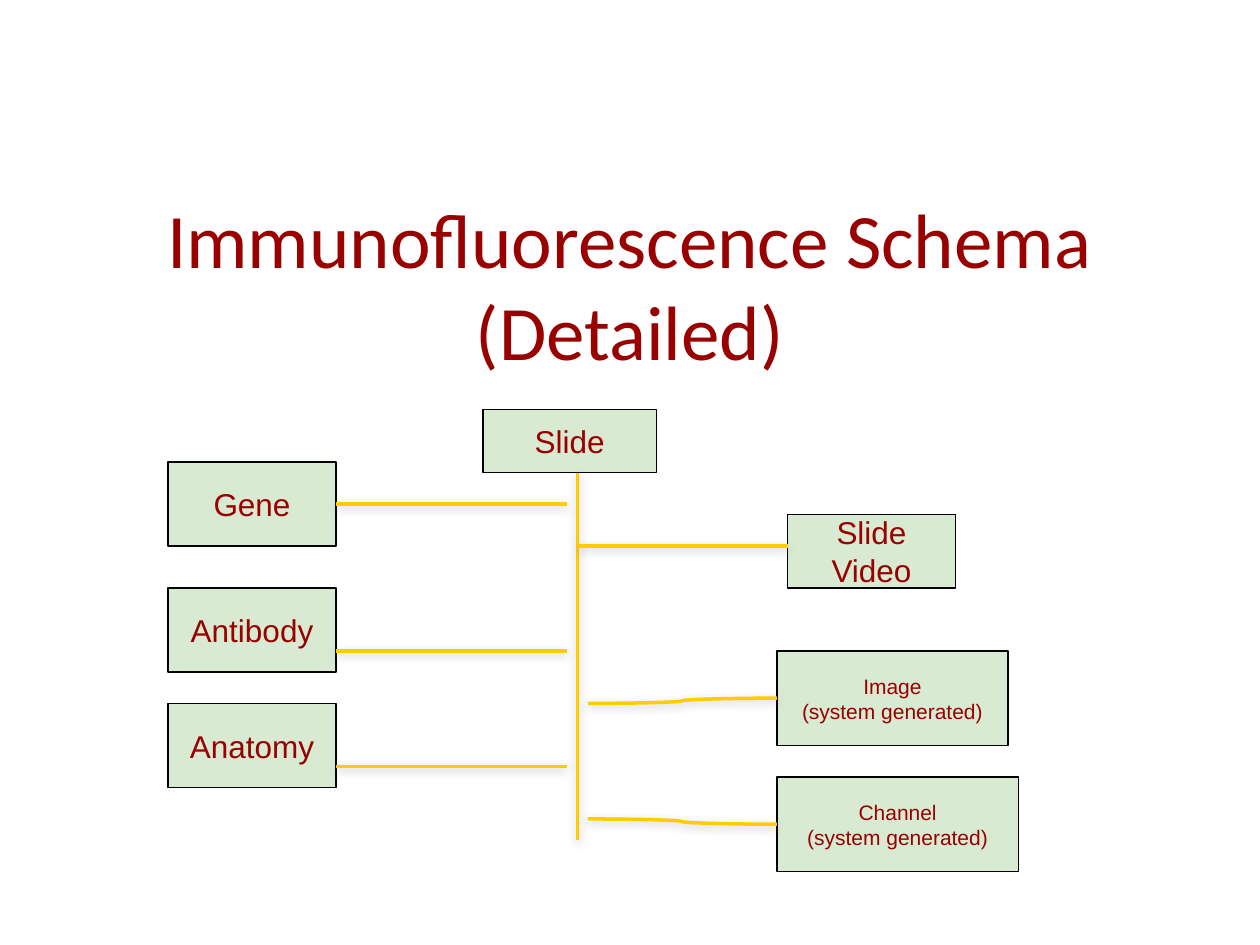
"""Builds the immunofluorescence schema slide."""
from dataclasses import dataclass

from lxml import etree
from pptx import Presentation
from pptx.dml import color
from pptx.enum import shapes, text
from pptx.oxml import ns
from pptx.util import Pt


@dataclass(frozen=True)
class Theme:
    """Colours, fonts and type sizes of the slide."""
    ink: str = "990000"
    box_fill: str = "D9EAD3"
    box_line: str = "000000"
    link: str = "FFCC00"
    shadow: str = "808080"
    title_font: str = "Calibri"
    body_font: str = "Arial"
    title_size: int = 44
    body_size: int = 18
    small_size: int = 12
    box_width: float = 0.75
    link_width: float = 2
    inset: float = 7.2


def apply_format(target, values):
    """Set every attribute named in a dict of format values."""
    for name, value in values.items():
        setattr(target, name, value)


class SchemaSlide:
    """Draws titles, boxes and links on one slide in one style."""

    def __init__(self, slide, theme):
        """Keep the slide and its theme."""
        self.slide = slide
        self.theme = theme

    def label(self, shape, lines, font, size, anchor):
        """Fill a shape with centred paragraphs."""
        frame = shape.text_frame
        sides = ("left", "right", "top", "bottom")
        margins = {f"margin_{side}": Pt(self.theme.inset) for side in sides}
        apply_format(frame, {"word_wrap": True, "vertical_anchor": anchor, **margins})
        frame.text = "\n".join(lines)
        for paragraph in frame.paragraphs:
            paragraph.alignment = text.PP_ALIGN.CENTER
            run_font = paragraph.runs[0].font
            apply_format(run_font, {"name": font, "size": Pt(size)})
            run_font.color.rgb = color.RGBColor.from_string(self.theme.ink)

    def outline(self, line, colour, width):
        """Give a line its colour and width."""
        line.color.rgb = color.RGBColor.from_string(colour)
        line.width = Pt(width)

    def title(self, line, bounds):
        """Add the slide title."""
        shape = self.slide.shapes.add_textbox(*map(Pt, bounds))
        self.label(shape, [line], self.theme.title_font, self.theme.title_size,
                   text.MSO_ANCHOR.TOP)

    def box(self, lines, bounds, size):
        """Add a labelled entity box."""
        shape = self.slide.shapes.add_shape(
            shapes.MSO_SHAPE.RECTANGLE, *map(Pt, bounds))
        shape.shadow.inherit = False
        shape.fill.solid()
        shape.fill.fore_color.rgb = color.RGBColor.from_string(self.theme.box_fill)
        self.outline(shape.line, self.theme.box_line, self.theme.box_width)
        self.label(shape, lines, self.theme.body_font, size, text.MSO_ANCHOR.MIDDLE)

    def link(self, start, end, kind=shapes.MSO_CONNECTOR.CURVE):
        """Add a connector with a soft shadow below it."""
        connector = self.slide.shapes.add_connector(kind, *map(Pt, (*start, *end)))
        self.outline(connector.line, self.theme.link, self.theme.link_width)
        properties = connector.element.spPr
        effects = etree.SubElement(properties, ns.qn("a:effectLst"))
        shadow = etree.SubElement(
            effects, ns.qn("a:outerShdw"), blurRad=str(Pt(5)), dist=str(Pt(1.6)),
            dir="5400000", rotWithShape="0")
        tint = etree.SubElement(shadow, ns.qn("a:srgbClr"), val=self.theme.shadow)
        etree.SubElement(tint, ns.qn("a:alpha"), val="38000")


def main():
    """Build and save the presentation."""
    presentation = Presentation()
    apply_format(presentation, {"slide_width": Pt(720), "slide_height": Pt(540)})
    theme = Theme()
    schema = SchemaSlide(
        presentation.slides.add_slide(presentation.slide_layouts[6]), theme)

    trunk_x, left_x, left_width, left_height, gap = 330, 96, 96, 48, 6
    inputs = [("Gene", 264, 288), ("Antibody", 336, 372), ("Anatomy", 402, 438)]
    generated = [("Image", 372, 132, 402, 399), ("Channel", 444, 138, 468, 471)]
    generated_x, generated_height = 444, 54

    schema.title("Immunofluorescence Schema (Detailed)", (24.5, 102, 671, 45))
    schema.box(["Slide"], (276, 234, 99, 36), theme.body_size)
    schema.box(["Slide Video"], (450, 294, 96, 42), theme.body_size)
    for name, top, _ in inputs:
        schema.box([name], (left_x, top, left_width, left_height), theme.body_size)
    for name, top, width, *_ in generated:
        schema.box([name, "(system generated)"],
                   (generated_x, top, width, generated_height), theme.small_size)

    schema.link((trunk_x, 480), (trunk_x, 270), shapes.MSO_CONNECTOR.STRAIGHT)
    for _, _, link_y in inputs:
        schema.link((left_x + left_width, link_y), (trunk_x - gap, link_y))
    schema.link((trunk_x, 312), (450, 312))
    for _, _, _, start_y, end_y in generated:
        schema.link((trunk_x + gap, start_y), (generated_x, end_y))

    presentation.save("out.pptx")


main()
